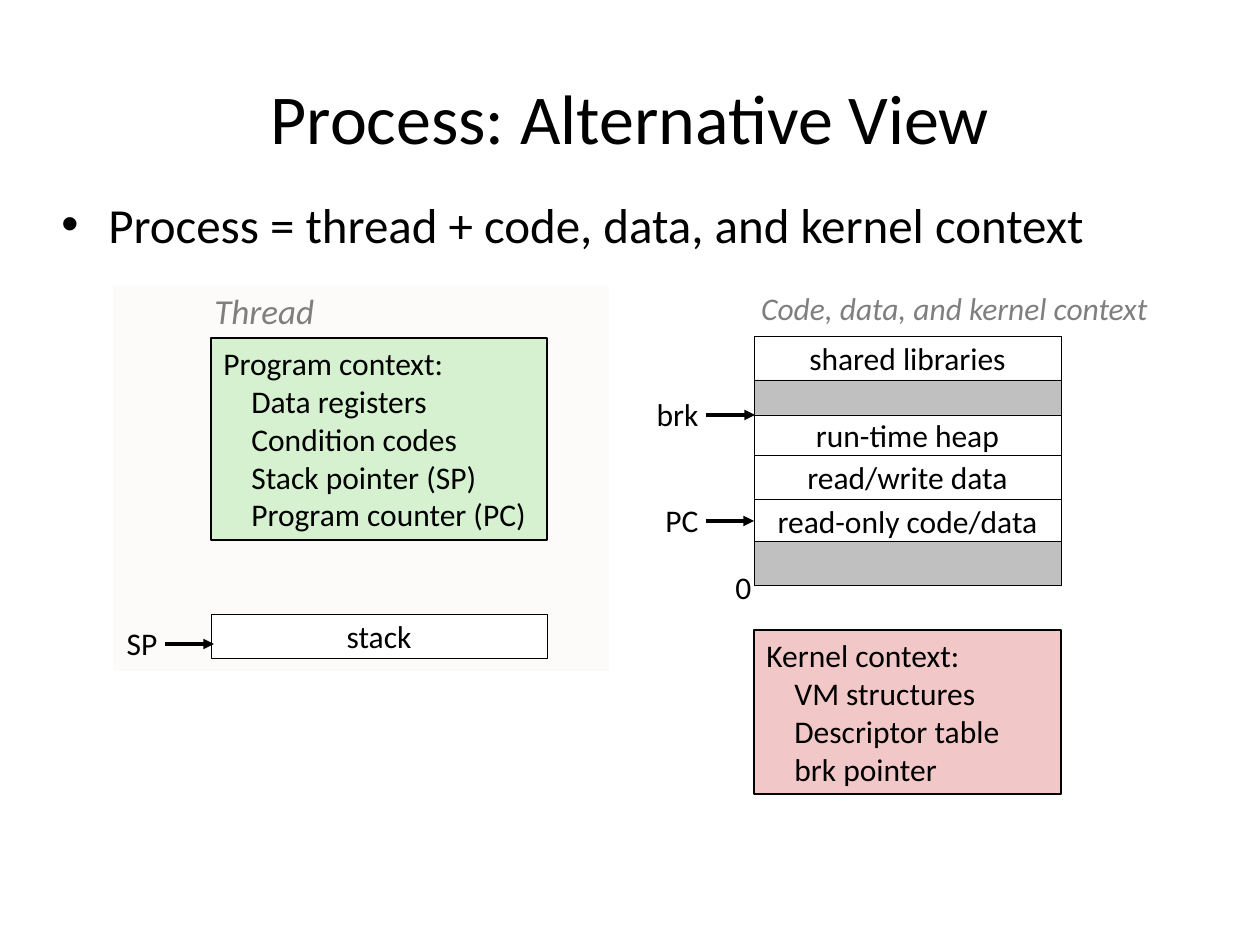
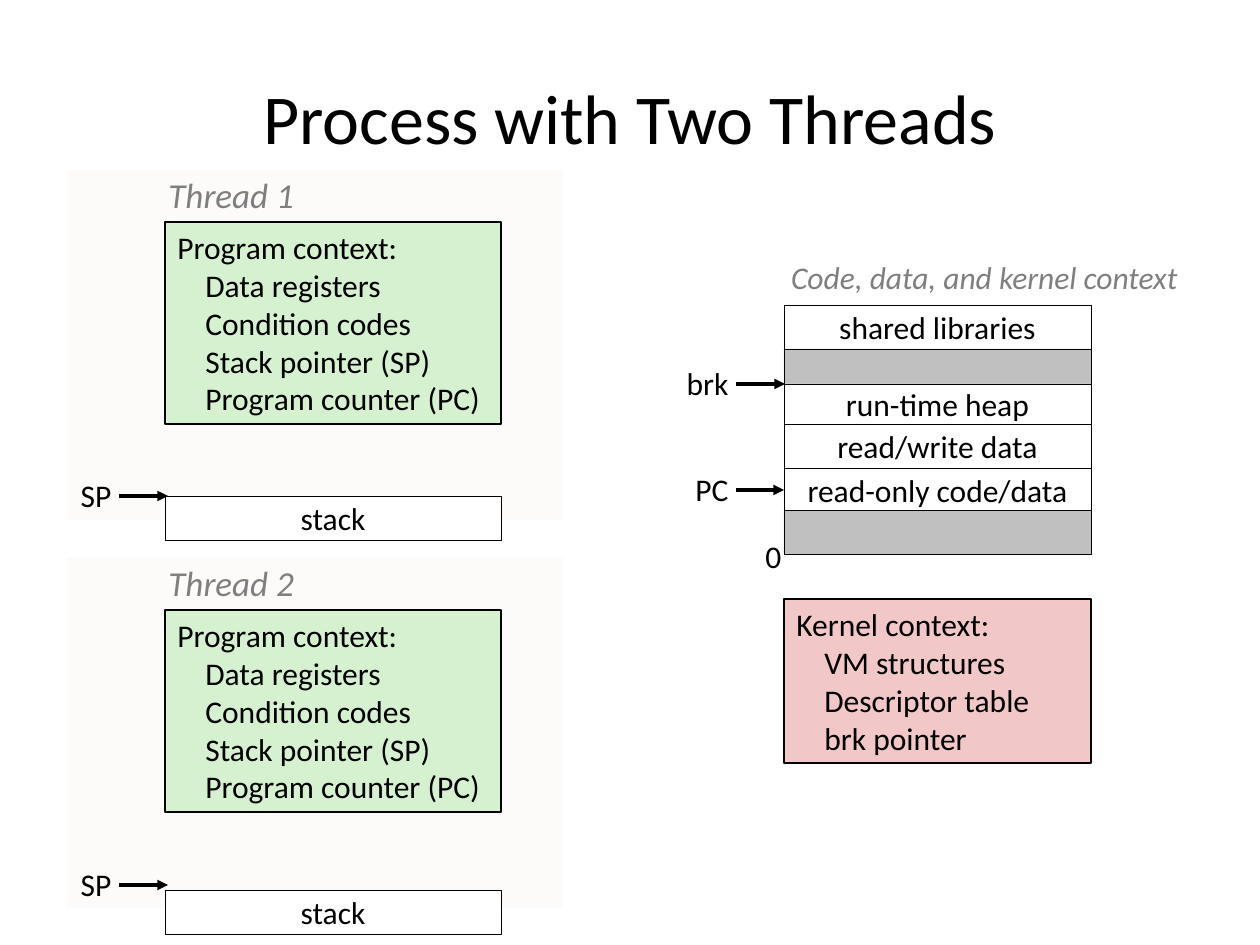
from lxml import etree
from pptx import Presentation
from pptx import util as u
from pptx.dml.color import RGBColor
from pptx.enum import shapes, text
from pptx.oxml.ns import qn

# Shared look
PX = 914400 / 126
FONT = "Calibri"
BLACK, WHITE, GREY, CAPTION = "000000", "FFFFFF", "C0C0C0", "7F7F7F"
PANEL, GREEN, PINK = "FCFBF9", "D5F1CF", "F1C7C7"
THIN, THICK, ARROW = 0.25, 1.5, 2

# Content
PROGRAM = ["Program context:", "Data registers", "Condition codes",
           "Stack pointer (SP)", "Program counter (PC)"]
KERNEL = ["Kernel context:", "VM structures", "Descriptor table", "brk pointer"]
MEMORY_CAPTION = "Code, data, and kernel context"
# label, top below the start of the memory column, height
MEMORY = [("shared libraries", 0, 44), ("", 44, 35), ("run-time heap", 79, 40),
          ("read/write data", 119, 44), ("read-only code/data", 163, 44), ("", 205, 44)]
# label, width, row pointed at, whether at its middle (else at its top)
POINTERS = [("PC", 58, 4, True), ("brk", 67, 2, False)]
SLIDES = [
    dict(title="Process: Alternative View",
         bullet="Process = thread + code, data, and kernel context",
         memory=(754, 336),
         threads=[dict(name="Thread", width=128, at=(113, 286), height=385,
                       stack=328, pointer=358)]),
    dict(title="Process with Two Threads", bullet=None, memory=(784, 305),
         threads=[dict(name="Thread 1", width=156, at=(67, 170), height=350,
                       stack=326, pointer=326),
                  dict(name="Thread 2", width=156, at=(67, 558), height=350,
                       stack=332, pointer=327)]),
]


def px(*lengths):
    return [u.Emu(round(n * PX)) for n in lengths]


def rgb(colour):
    return RGBColor.from_string(colour)


def write(holder, lines, size=18, color=BLACK, italic=False, center=True,
          middle=True, wrap=False, grow=False, indent=0):
    """Fill a shape with lines; every line after the first is indented."""
    frame = holder.text_frame
    frame.word_wrap = wrap
    frame.auto_size = (text.MSO_AUTO_SIZE.SHAPE_TO_FIT_TEXT if grow
                       else text.MSO_AUTO_SIZE.NONE)
    frame.vertical_anchor = text.MSO_ANCHOR.MIDDLE if middle else text.MSO_ANCHOR.TOP
    for i, line in enumerate(lines):
        para = frame.add_paragraph() if i else frame.paragraphs[0]
        para.alignment = text.PP_ALIGN.CENTER if center else text.PP_ALIGN.LEFT
        if i and indent:
            para._p.get_or_add_pPr().set("marL", str(px(indent)[0]))
        run = para.add_run()
        run.text = line
        font = run.font
        font.name, font.size, font.italic = FONT, u.Pt(size), italic
        font.color.rgb = rgb(color)
    return frame


def label(slide, words, box, **style):
    return write(slide.shapes.add_textbox(*px(*box)), [words], **style)


def block(slide, box, fill, line=None):
    rect = slide.shapes.add_shape(shapes.MSO_SHAPE.RECTANGLE, *px(*box))
    rect.shadow.inherit = False
    rect.fill.solid()
    rect.fill.fore_color.rgb = rgb(fill)
    if line:
        rect.line.color.rgb = rgb(BLACK)
        rect.line.width = u.Pt(line)
    else:
        rect.line.fill.background()
    return rect


def context(slide, box, fill, lines):
    write(block(slide, box, fill, THICK), lines, center=False, middle=False,
          wrap=True, grow=True, indent=28)


def pointer(slide, words, width, tip, y, target=None):
    """A label with an arrow whose tip touches a block at (tip, y)."""
    label(slide, words, (tip - 44 - width, y - 26, width, 50), grow=True)
    arrow = slide.shapes.add_connector(shapes.MSO_CONNECTOR.STRAIGHT,
                                       *px(tip - 49, y, tip, y))
    arrow.line.color.rgb = rgb(BLACK)
    arrow.line.width = u.Pt(ARROW)
    etree.SubElement(arrow.line._get_or_add_ln(), qn("a:tailEnd"), type="triangle")
    etree.SubElement(arrow._element.spPr, qn("a:effectLst"))
    if target is not None:
        arrow.end_connect(target, 1)


def draw_heading(slide, title, bullet):
    label(slide, title, (63, 38, 1134, 158), size=40, wrap=True)
    if bullet:
        frame = label(slide, bullet, (49, 188, 1089, 685), size=28, center=False,
                      middle=False, wrap=True)
        para = frame.paragraphs[0]
        para.space_before = u.Pt(7)
        props = para._p.get_or_add_pPr()
        hang = px(47)[0]
        props.set("marL", str(hang))
        props.set("indent", str(-hang))
        etree.SubElement(props, qn("a:buFont"), typeface="Arial")
        etree.SubElement(props, qn("a:buChar"), char="•")


def draw_thread(slide, name, width, at, height, stack, pointer_y):
    x, y = at
    block(slide, (x, y, 496, height), PANEL)
    label(slide, name, (x + 89, y - 3, width, 55), size=20, color=CAPTION,
          italic=True, center=False)
    context(slide, (x + 98, y + 52, 336, 202), GREEN, PROGRAM)
    write(block(slide, (x + 98, y + stack, 336, 44), WHITE, THIN), ["stack"])
    pointer(slide, "SP", 56, x + 101, y + pointer_y)


def draw_memory(slide, x, y):
    label(slide, MEMORY_CAPTION, (x - 7, y - 53, 415, 50), color=CAPTION,
          italic=True, grow=True)
    rows = []
    for words, top, height in MEMORY:
        row = block(slide, (x, y + top, 307, height), WHITE if words else GREY, THIN)
        if words:
            write(row, [words])
        rows.append(row)
    label(slide, "0", (x - 31, y + 226, 40, 50), center=False, middle=False, grow=True)
    for words, width, index, at_middle in POINTERS:
        _, top, height = MEMORY[index]
        target = rows[index] if at_middle else None
        drop = top + (height // 2 if at_middle else 0)
        pointer(slide, words, width, x + 1, y + drop, target)
    context(slide, (x, y + 294, 307, 164), PINK, KERNEL)


def main():
    deck = Presentation()
    deck.slide_width, deck.slide_height = px(1260, 945)
    for page in SLIDES:
        slide = deck.slides.add_slide(deck.slide_layouts[6])
        draw_heading(slide, page["title"], page["bullet"])
        for thread in page["threads"]:
            draw_thread(slide, thread["name"], thread["width"], thread["at"],
                        thread["height"], thread["stack"], thread["pointer"])
        draw_memory(slide, *page["memory"])
    deck.save("out.pptx")


if __name__ == "__main__":
    main()
